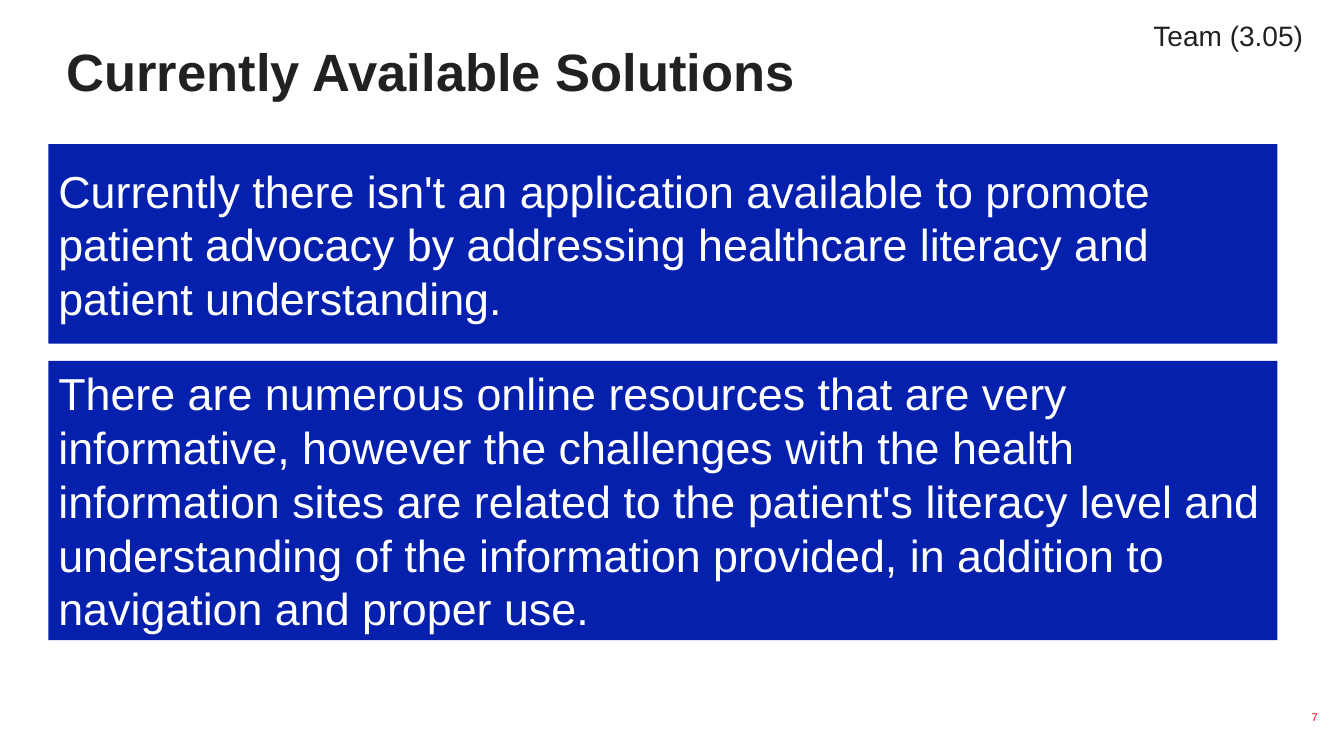
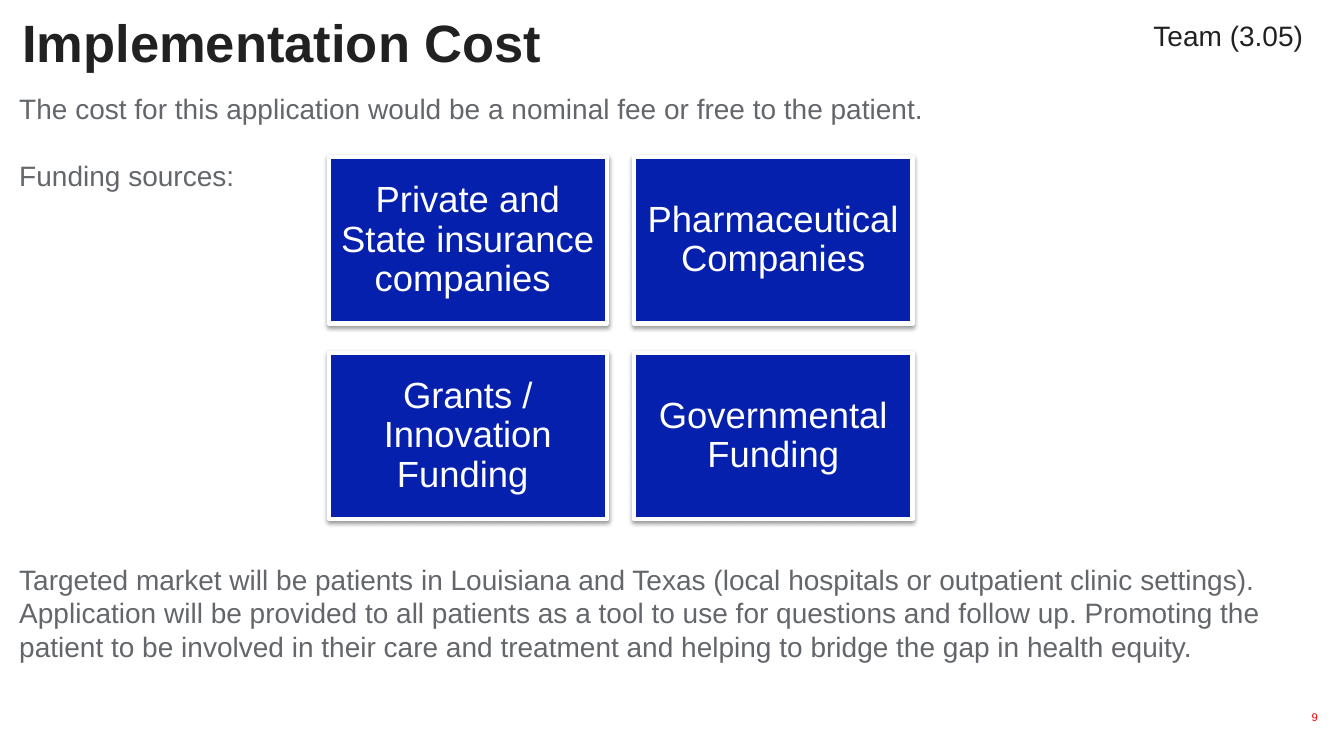
from lxml import etree
from pptx import Presentation
from pptx.dml.color import RGBColor
from pptx.enum.shapes import MSO_SHAPE as Shape
from pptx.enum.text import MSO_ANCHOR as Anchor, MSO_AUTO_SIZE as AutoSize, PP_ALIGN as Align
from pptx.oxml import parse_xml
from pptx.oxml.ns import qn
from pptx.util import Inches, Pt

# Shared look
FONT = "Arial"
INK, GREY, BLUE, WHITE, RED = "212121", "63666A", "0420AC", "FFFFFF", "FF0000"
SHADOW = """<a:effectLst xmlns:a="http://schemas.openxmlformats.org/drawingml/2006/main">
  <a:outerShdw blurRad="39400" dist="20300" dir="5400000" rotWithShape="0">
    <a:srgbClr val="000000"><a:alpha val="38000"/></a:srgbClr>
  </a:outerShdw></a:effectLst>"""

deck = Presentation()
deck.slide_width, deck.slide_height = Inches(13.33), Inches(7.5)


def area(left, top, width, height):
    """Turn percentages of the slide into lengths."""
    across, down = deck.slide_width / 100, deck.slide_height / 100
    return int(left * across), int(top * down), int(width * across), int(height * down)


def write(shape, text, size, color, align=Align.LEFT, anchor=Anchor.TOP,
          inset=0.0, spacing=None, bold=False):
    """Fill a shape with text; line pitch is 1.2 times the size by default."""
    frame = shape.text_frame
    frame.text = text
    frame.word_wrap, frame.auto_size = True, AutoSize.NONE
    frame.vertical_anchor = anchor
    frame.margin_left = frame.margin_right = Inches(inset)
    frame.margin_top = frame.margin_bottom = Inches(inset)
    for para in frame.paragraphs:
        para.alignment = align
        para.space_before = Pt(0)
        para.line_spacing = spacing or Pt(size * 1.2)
        for span in para.runs:
            span.font.name, span.font.size, span.font.bold = FONT, Pt(size), bold
            span.font.color.rgb = RGBColor.from_string(color)


# Pages: layout, title, title area, page number
pages = []
for layout, title, title_area, number in [
    (5, "Currently Available Solutions", (4.95, 5.07, 90.1, 8.4), "7"),
    (1, "Implementation Cost", (1.65, 1.33, 83.27, 8.4), "9"),
]:
    page = deck.slides.add_slide(deck.slide_layouts[layout])
    heading = page.shapes.title
    heading.left, heading.top, heading.width, heading.height = area(*title_area)
    write(heading, title, 37.5, INK, anchor=Anchor.BOTTOM, spacing=1.0, bold=True)
    team = page.shapes.add_textbox(*area(85.82, 2.4, 14.18, 4.53))
    write(team, "Team (3.05)", 20, INK)
    footer = page.shapes.add_textbox(*area(95.05, 92.4, 3.75, 4.8))
    write(footer, number, 8, RED, Align.RIGHT, Anchor.MIDDLE, inset=0.1, spacing=1.0)
    pages.append(page)
solutions, cost = pages

# Solutions: two full-width panels
for top, height, text in [
    (19.07, 26.4, "Currently there isn't an application available to promote patient advocacy "
                  "by addressing healthcare literacy and patient understanding."),
    (47.73, 36.93, "There are numerous online resources that are very informative, however the "
                   "challenges with the health information sites are related to the patient's "
                   "literacy level and understanding of the information provided, in addition to "
                   "navigation and proper use."),
]:
    panel = solutions.shapes.add_shape(Shape.RECTANGLE, *area(3.6, top, 91.45, height))
    panel.shadow.inherit = False
    panel.fill.solid()
    panel.fill.fore_color.rgb = RGBColor.from_string(BLUE)
    panel.line.fill.background()
    write(panel, text, 32, WHITE, anchor=Anchor.MIDDLE, inset=0.1)

# Cost: body text, leaving room for the tiles before the last paragraph
body = cost.placeholders[1]
body.left, body.top, body.width, body.height = area(1.43, 12.13, 97.15, 69.47)
write(body, "The cost for this application would be a nominal fee or free to the patient.\n"
            "Funding sources:\n"
            "Targeted market will be patients in Louisiana and Texas (local hospitals or "
            "outpatient clinic settings). Application will be provided to all patients as a tool "
            "to use for questions and follow up. Promoting the patient to be involved in their "
            "care and treatment and helping to bridge the gap in health equity.", 20, GREY)
for para, empty_lines in zip(body.text_frame.paragraphs, (0, 1, 11)):
    para.space_before = Pt(24 * empty_lines)
    settings = para._p.get_or_add_pPr()
    settings.set("marL", "0")
    settings.set("indent", "0")
    etree.SubElement(settings, qn("a:buNone"))

# Cost: two-by-two grid of funding sources
sources = ["Private and State insurance companies ", "Pharmaceutical Companies",
           "Grants / Innovation Funding ", "Governmental Funding"]
for index, source in enumerate(sources):
    row, column = divmod(index, 2)
    tile = cost.shapes.add_shape(
        Shape.RECTANGLE, *area(24.46 + column * 22.73, 20.8 + row * 25.87, 20.71, 22))
    tile.fill.solid()
    tile.fill.fore_color.rgb = RGBColor.from_string(BLUE)
    tile.line.color.rgb = RGBColor.from_string(WHITE)
    tile.line.width = Pt(3)
    tile._element.spPr.append(parse_xml(SHADOW))
    write(tile, source, 26, WHITE, Align.CENTER, Anchor.MIDDLE, inset=0.11, spacing=0.9)

deck.save("out.pptx")
